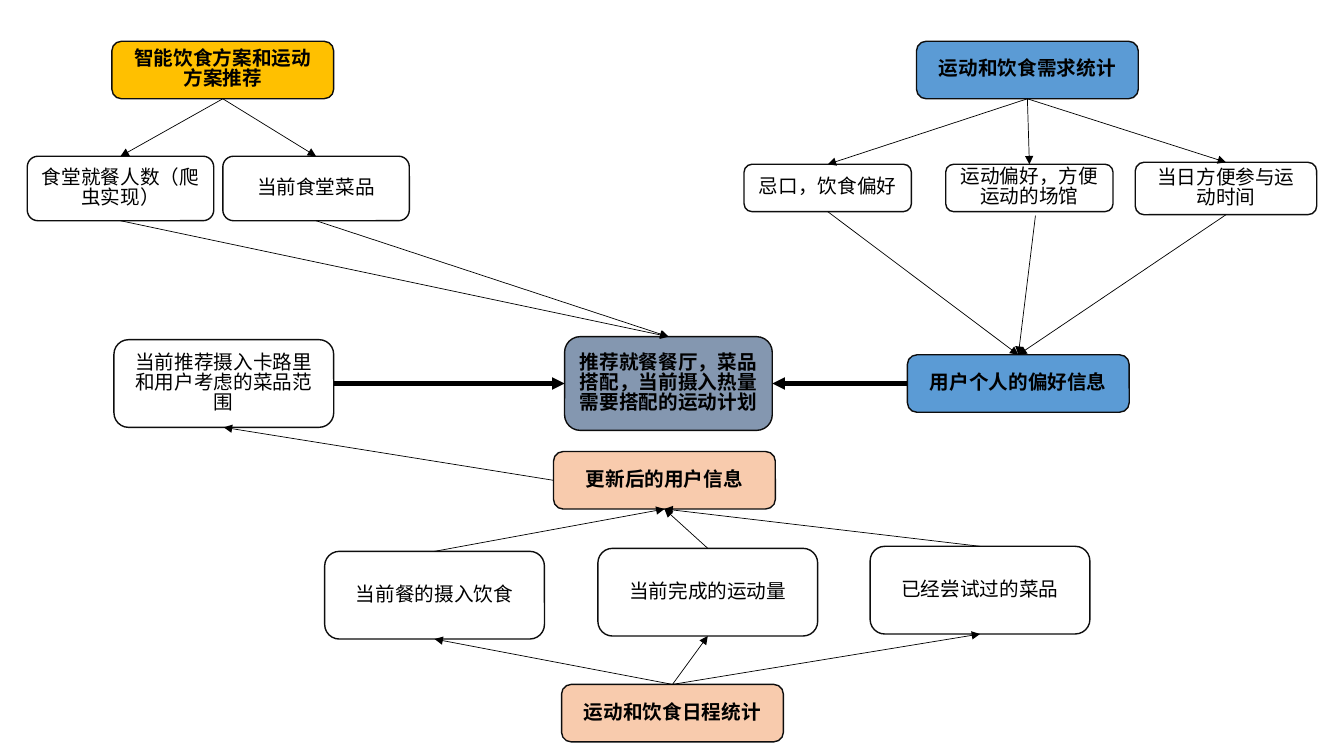
"""Build a flow chart of diet and exercise recommendations."""
from lxml.etree import SubElement
from pptx import Presentation
from pptx.dml.color import RGBColor
from pptx.enum.shapes import MSO_CONNECTOR, MSO_SHAPE
from pptx.enum.text import MSO_ANCHOR, PP_ALIGN
from pptx.oxml.ns import qn
from pptx.util import Inches, Pt

FONT = "Noto Sans CJK SC"
TOP, LEFT, BOTTOM, RIGHT = range(4)
AMBER, BLUE, SLATE, PEACH, WHITE = "FFC000", "5B9BD5", "8497B0", "F8CBAD", "FFFFFF"


def paint(fill, color):
    fill.solid()
    fill.fore_color.rgb = RGBColor.from_string(color)


def draw_arrow(start, end, weight):
    arrow = slide.shapes.add_connector(
        MSO_CONNECTOR.STRAIGHT, *[Inches(value) for value in (*start, *end)])
    paint(arrow.line.fill, "000000")
    arrow.line.width = Pt(weight)
    SubElement(arrow.line._get_or_add_ln(), qn("a:tailEnd"), type="triangle")
    SubElement(arrow._element.spPr, qn("a:effectLst"))
    return arrow


deck = Presentation()
deck.slide_width, deck.slide_height = Inches(13.33), Inches(7.5)
slide = deck.slides.add_slide(deck.slide_layouts[6])

HEADING = (2.2, 0.57)
CANTEEN = (1.85, 0.64)
PREFERENCE = (1.66, 0.47)
RECORD = (2.18, 0.87)

steps = {
    "plan": ("智能饮食方案和运动方案推荐", 1.11, 0.41, HEADING, AMBER),
    "needs": ("运动和饮食需求统计", 9.09, 0.41, HEADING, BLUE),
    "diners": ("食堂就餐人数（爬虫实现）", 0.27, 1.55, CANTEEN, WHITE),
    "menu": ("当前食堂菜品", 2.21, 1.55, CANTEEN, WHITE),
    "result": ("推荐就餐餐厅，菜品搭配，当前摄入热量需要搭配的运动计划",
               5.6, 3.34, (2.06, 0.93), SLATE),
    "taste": ("忌口，饮食偏好", 7.38, 1.63, PREFERENCE, WHITE),
    "venue": ("运动偏好，方便运动的场馆", 9.38, 1.63, PREFERENCE, WHITE),
    "time": ("当日方便参与运动时间", 11.26, 1.61, (1.8, 0.52), WHITE),
    "profile": ("用户个人的偏好信息", 9, 3.52, HEADING, BLUE),
    "schedule": ("运动和饮食日程统计", 5.57, 6.79, HEADING, PEACH),
    "intake": ("当前餐的摄入饮食", 3.22, 5.47, RECORD, WHITE),
    "exercise": ("当前完成的运动量", 5.93, 5.44, RECORD, WHITE),
    "tried": ("已经尝试过的菜品", 8.63, 5.42, RECORD, WHITE),
    "calories": ("当前推荐摄入卡路里和用户考虑的菜品范围", 1.13, 3.37, RECORD, WHITE),
    "updated": ("更新后的用户信息", 5.49, 4.48, HEADING, PEACH),
}

boxes = {}
for step, (wording, left, top, size, color) in steps.items():
    box = slide.shapes.add_shape(
        MSO_SHAPE.ROUNDED_RECTANGLE, *[Inches(value) for value in (left, top, *size)])
    box.shadow.inherit = False
    paint(box.fill, color)
    paint(box.line.fill, "0D0D0D")
    box.line.width = Pt(1)
    box.text_frame.word_wrap = True
    box.text_frame.vertical_anchor = MSO_ANCHOR.MIDDLE
    paragraph = box.text_frame.paragraphs[0]
    paragraph.alignment = PP_ALIGN.CENTER
    paragraph.line_spacing = 0.85
    label = paragraph.add_run()
    label.text = wording
    text_format = {"name": FONT, "size": Pt(14), "bold": color != WHITE}
    for attribute, value in text_format.items():
        setattr(label.font, attribute, value)
    paint(label.font.fill, "000000")
    SubElement(label.font._element, qn("a:ea"), typeface=FONT)
    boxes[step] = box

flows = [
    (["plan"], BOTTOM, ["diners", "menu"], TOP, 0.5),
    (["diners", "menu"], BOTTOM, ["result"], TOP, 0.5),
    (["needs"], BOTTOM, ["taste", "venue", "time"], TOP, 0.5),
    (["taste", "time"], BOTTOM, ["profile"], TOP, 0.5),
    (["profile"], LEFT, ["result"], RIGHT, 3),
    (["schedule"], TOP, ["intake", "exercise", "tried"], BOTTOM, 0.5),
    (["intake", "exercise", "tried"], TOP, ["updated"], BOTTOM, 0.5),
    (["updated"], LEFT, ["calories"], BOTTOM, 0.5),
    (["calories"], RIGHT, ["result"], LEFT, 3),
]

for sources, exit_side, targets, entry_side, weight in flows:
    for source in sources:
        for target in targets:
            flow = draw_arrow((0, 0), (1, 1), weight)
            flow.begin_connect(boxes[source], exit_side)
            flow.end_connect(boxes[target], entry_side)

venue_flow = draw_arrow((10.27, 2.14), (10.1, 3.52), 0.5)
venue_flow.end_connect(boxes["profile"], TOP)

deck.save("out.pptx")
